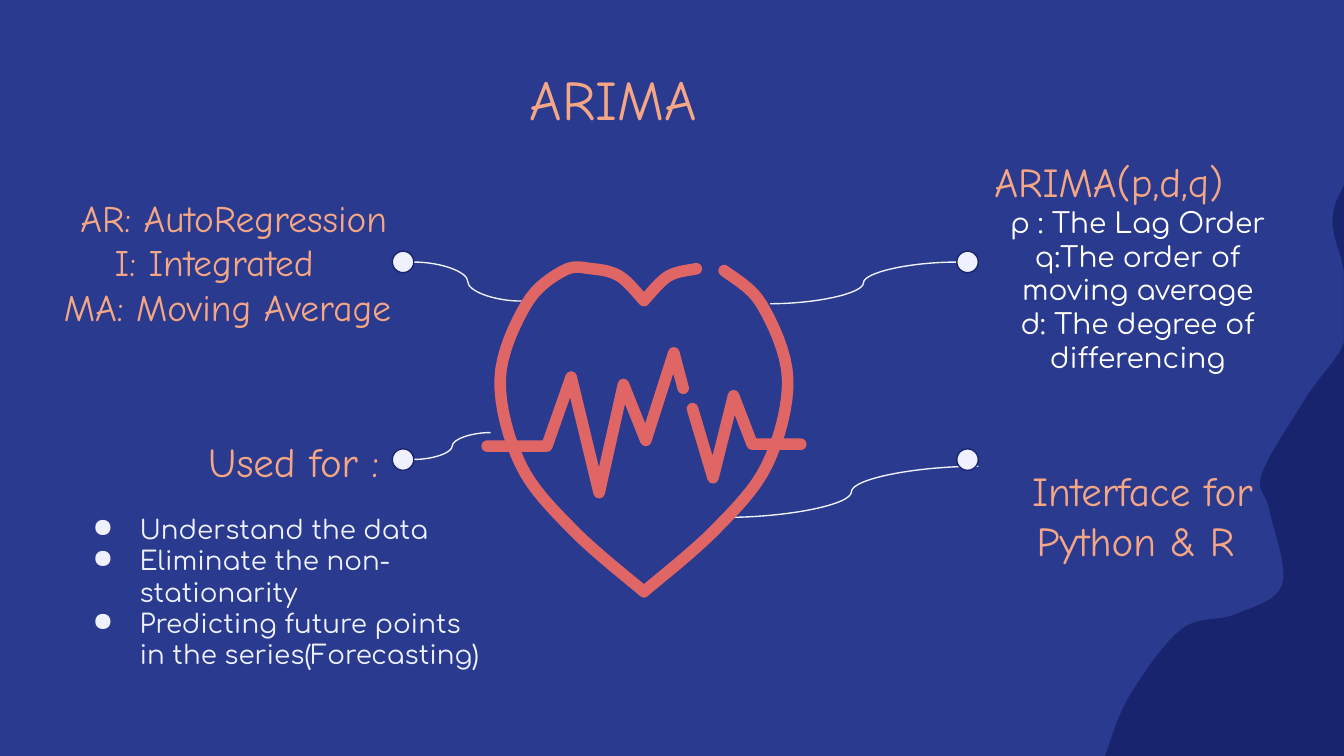
"""Build the ARIMA overview slide with a heartbeat illustration and four callouts."""
from dataclasses import dataclass

from lxml import etree
from pptx import Presentation
from pptx.dml.color import RGBColor
from pptx.enum.shapes import MSO_CONNECTOR, MSO_SHAPE
from pptx.enum.text import MSO_ANCHOR, MSO_AUTO_SIZE, PP_ALIGN
from pptx.oxml.ns import qn
from pptx.util import Pt

CURVE, OVAL = MSO_CONNECTOR.CURVE, MSO_SHAPE.OVAL
TOP, BOTTOM = MSO_ANCHOR.TOP, MSO_ANCHOR.BOTTOM
LEFT, CENTER, RIGHT = PP_ALIGN.LEFT, PP_ALIGN.CENTER, PP_ALIGN.RIGHT
COLORS = {"bg": "293A8F", "wave": "18246E", "peach": "F5A785",
          "pale": "EFF1FF", "white": "FFFFFF", "heart": "E06666"}
HEAD, BODY = "Comic Neue", "Comfortaa"
WIDTH, HEIGHT = 720, 405
INSET, DOT, STROKE, STEPS, SHIFT = 7.2, 11.5, 6.2, 8, 21

WAVE = [(720, 99), (714, 121), (725, 172), (699, 214), (676, 254), (680, 273),
        (687, 313), (662, 329), (633, 337), (605, 373), (592, 405)]
AXIS = 345
HALF = [(345, 161), (332, 148), (317, 144), (302, 145), (282, 163),
        (268, 203), (279, 249), (307, 284), (345, 317)]
PULSES = [
    [(261, 239), (293, 239), (306, 202), (321, 264), (334, 206), (346, 236),
     (361, 189), (366, 208)],
    [(371, 219), (382, 256), (393, 212), (403, 238), (429, 238)],
]


@dataclass
class Line:
    text: str
    size: float
    font: str = HEAD
    color: str = "peach"
    align: PP_ALIGN = CENTER
    margin: float = 0
    bullet: bool = False


@dataclass
class Block:
    box: tuple
    lines: list
    anchor: MSO_ANCHOR = BOTTOM
    right: float = INSET


TITLE = Block((5.8, 27.4, 645.8, 59.8), [Line("ARIMA", 30)], TOP)
BLOCKS = [
    Block((5.8, 96.5, 239, 87.1), [
        Line("AR: AutoRegression", 20, margin=SHIFT),
        Line("I: Integrated", 20),
        Line("MA: Moving Average ", 20, margin=SHIFT)], right=INSET + SHIFT),
    Block((87.1, 221.8, 123.1, 45.4), [Line("Used for :", 22, align=RIGHT)]),
    Block((31.7, 267.8, 239, 109.4), [
        Line(t, 14, BODY, "pale", LEFT, 36, True) for t in (
            "Understand the data", "Eliminate the non-stationarity",
            "Predicting future points in the series(Forecasting)")], TOP),
    Block((525.6, 64.1, 167.8, 143.3), [Line("ARIMA(p,d,q)", 22, align=LEFT)] + [
        Line(t, 15, BODY, "white") for t in (
            "p : The Lag Order", "q:The order of moving average",
            "d: The degree of differencing")]),
    Block((525.6, 240.5, 172.8, 69.1), [Line("Interface for Python & R ", 22)]),
]
LINKS = [(221.8, 140.4, 279.4, 161.3), (512.6, 140.4, 412.6, 162.7),
         (221.8, 246.2, 262.8, 231.8), (524.2, 249.8, 388.1, 277.2)]
DOTS = [(x, y) for x in (210.2, 512.6) for y in (134.6, 240.5)]


def rgb(name: str) -> RGBColor:
    return RGBColor.from_string(COLORS[name])


def smooth(knots: list) -> list:
    """Run a Catmull-Rom curve through the knots, kept inside the slide."""
    ext = [knots[0], *knots, knots[-1]]
    pts = [knots[0]]
    for a, b, c, d in zip(ext, ext[1:], ext[2:], ext[3:]):
        for i in range(1, STEPS + 1):
            t = i / STEPS
            pts.append(tuple(
                q + t / 2 * (r - p + t * (2 * p - 5 * q + 4 * r - s + t * (3 * (q - r) + s - p)))
                for p, q, r, s in zip(a, b, c, d)))
    return [(min(x, WIDTH), min(y, HEIGHT)) for x, y in pts]


def mirror(pts: list) -> list:
    return [(2 * AXIS - x, y) for x, y in pts]


def draw_outline(s, pts: list, close: bool):
    fine = [(x * 100, y * 100) for x, y in pts]
    fb = s.shapes.build_freeform(*fine[0], scale=Pt(0.01))
    fb.add_line_segments(fine[1:], close=close)
    sp = fb.convert_to_shape()
    sp.shadow.inherit = False
    return sp


def draw_wave(s) -> None:
    sp = draw_outline(s, smooth(WAVE) + [(WIDTH, HEIGHT)], True)
    sp.fill.solid()
    sp.fill.fore_color.rgb = rgb("wave")
    sp.line.fill.background()


def draw_stroke(s, pts: list) -> None:
    sp = draw_outline(s, pts, False)
    sp.fill.background()
    sp.line.color.rgb = rgb("heart")
    sp.line.width = Pt(STROKE)
    ln = sp._element.spPr.find(qn("a:ln"))
    ln.set("cap", "rnd")
    etree.SubElement(ln, qn("a:round"))


def write_line(p, line: Line) -> None:
    p.alignment = line.align
    pPr = p._p.get_or_add_pPr()
    pPr.set("marL", str(Pt(line.margin)))
    if line.bullet:
        pPr.set("indent", str(Pt(-25.2)))
        clr = etree.SubElement(pPr, qn("a:buClr"))
        etree.SubElement(clr, qn("a:srgbClr")).set("val", COLORS[line.color])
        etree.SubElement(pPr, qn("a:buChar")).set("char", "●")
    r = p.add_run()
    r.text = line.text
    for key, value in {"size": Pt(line.size), "name": line.font}.items():
        setattr(r.font, key, value)
    r.font.color.rgb = rgb(line.color)


def fill_text(sp, block: Block) -> None:
    for key, value in zip(("left", "top", "width", "height"), block.box):
        setattr(sp, key, Pt(value))
    tf = sp.text_frame
    fmt = {"word_wrap": True, "auto_size": MSO_AUTO_SIZE.NONE,
           "vertical_anchor": block.anchor, "margin_left": Pt(INSET),
           "margin_right": Pt(block.right), "margin_top": Pt(INSET),
           "margin_bottom": Pt(INSET)}
    for key, value in fmt.items():
        setattr(tf, key, value)
    for i, line in enumerate(block.lines):
        write_line(tf.add_paragraph() if i else tf.paragraphs[0], line)


def draw_link(s, ends: tuple) -> None:
    c = s.shapes.add_connector(CURVE, *map(Pt, ends))
    c.line.color.rgb = rgb("pale")
    c.line.width = Pt(0.75)
    etree.SubElement(c._element.spPr, qn("a:effectLst"))


def draw_dot(s, x: float, y: float) -> None:
    sp = s.shapes.add_shape(OVAL, Pt(x), Pt(y), Pt(DOT), Pt(DOT))
    sp.shadow.inherit = False
    sp.fill.solid()
    sp.fill.fore_color.rgb = rgb("pale")
    sp.line.color.rgb = rgb("wave")
    sp.line.width = Pt(0.75)


def main() -> None:
    prs = Presentation()
    prs.slide_width, prs.slide_height = Pt(WIDTH), Pt(HEIGHT)
    s = prs.slides.add_slide(prs.slide_layouts[5])
    s.background.fill.solid()
    s.background.fill.fore_color.rgb = rgb("bg")
    draw_wave(s)
    fill_text(s.shapes.title, TITLE)
    for block in BLOCKS:
        fill_text(s.shapes.add_textbox(*map(Pt, block.box)), block)
    for ends in LINKS:
        draw_link(s, ends)
    for knots in (HALF, mirror(HALF[:3]), mirror(HALF[3:])):
        draw_stroke(s, smooth(knots))
    for pulse in PULSES:
        draw_stroke(s, pulse)
    for x, y in DOTS:
        draw_dot(s, x, y)
    prs.save("out.pptx")


if __name__ == "__main__":
    main()
